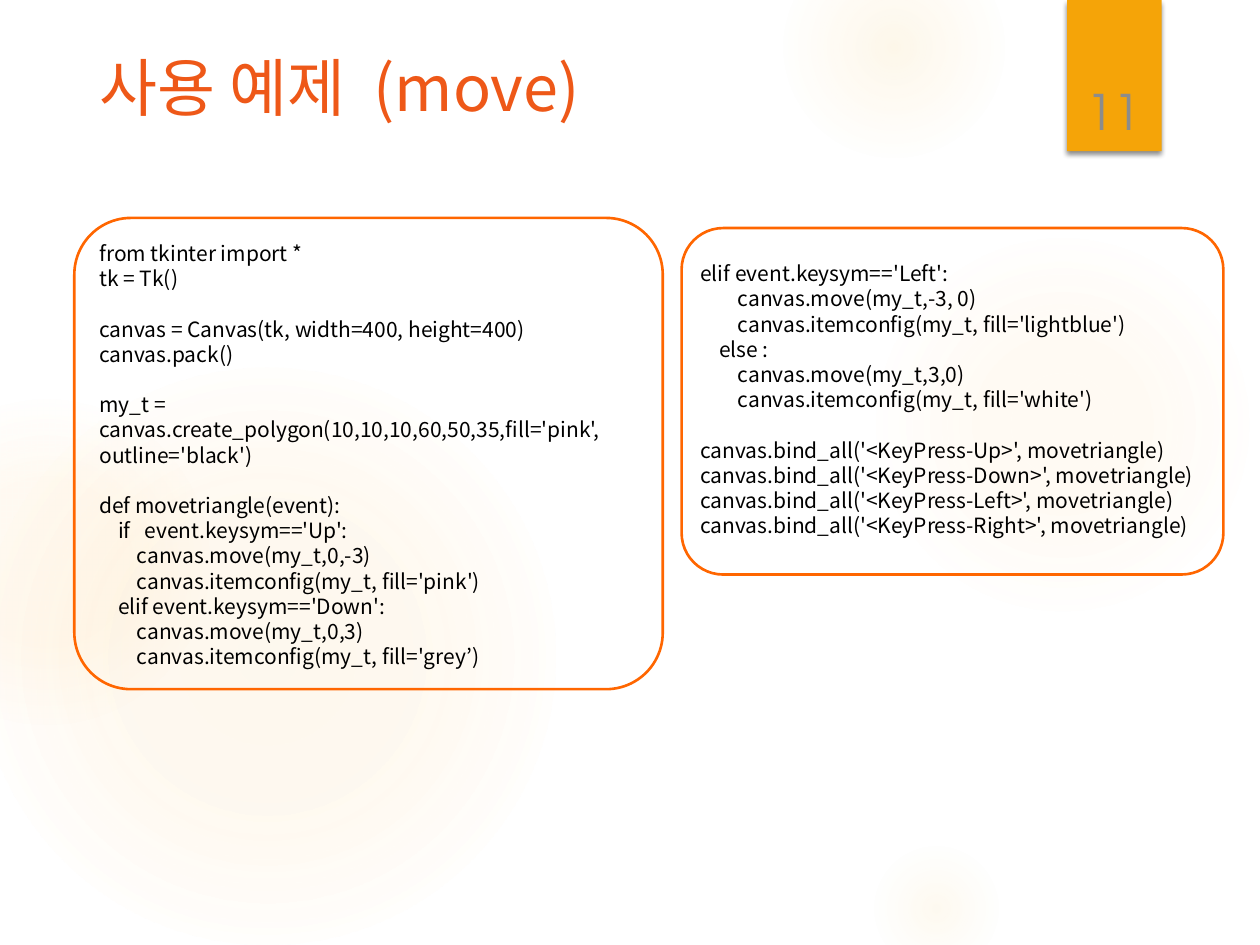
"""Build the tkinter move example slide with two framed code listings."""
from dataclasses import dataclass

from lxml import etree
from pptx import Presentation
from pptx.dml.color import RGBColor
from pptx.enum.shapes import MSO_SHAPE
from pptx.enum.text import MSO_ANCHOR, PP_ALIGN
from pptx.oxml import parse_xml
from pptx.oxml.ns import nsdecls, qn
from pptx.util import Inches, Pt

OVAL = MSO_SHAPE.OVAL
RECTANGLE = MSO_SHAPE.RECTANGLE
ROUNDED = MSO_SHAPE.ROUNDED_RECTANGLE
TOP = MSO_ANCHOR.TOP
BOTTOM = MSO_ANCHOR.BOTTOM
CENTER = PP_ALIGN.CENTER

BLACK = RGBColor(0x00, 0x00, 0x00)
GLOW_COLOR = RGBColor(0xFA, 0xC9, 0x6A)
TAB_COLOR = RGBColor(0xF5, 0xA4, 0x08)
TITLE_COLOR = RGBColor(0xEE, 0x58, 0x18)
FRAME_COLOR = RGBColor(0xFF, 0x66, 0x00)
NUMBER_COLOR = RGBColor(0x8C, 0x8C, 0x8C)
KOREAN_FONT = "Noto Sans CJK KR"
NUMBER_FONT = "TeX Gyre Adventor"


@dataclass(frozen=True)
class Box:
    left: float
    top: float
    width: float
    height: float

    def lengths(self):
        return [Inches(v) for v in (self.left, self.top, self.width, self.height)]


@dataclass(frozen=True)
class Glow:
    left: float
    top: float
    diameter: float
    stops: tuple


@dataclass(frozen=True)
class TextStyle:
    size: float
    font: str
    color: RGBColor


@dataclass(frozen=True)
class Listing:
    text_box: Box
    frame: Box
    code: str


GLOWS = (
    Glow(6.89, 1.83, 3.08, ((0, 7), (36, 6), (69, 0))),
    Glow(6.22, -0.5, 1.75, ((0, 14), (36, 7), (73, 0))),
    Glow(6.89, 6.67, 1.08, ((0, 10), (31, 5), (66, 0))),
    Glow(-0.17, 2.92, 4.58, ((0, 11), (36, 10), (75, 0))),
    Glow(-0.92, 3.17, 2.58, ((0, 8), (36, 8), (72, 0))),
)
TITLE_STYLE = TextStyle(36, KOREAN_FONT, TITLE_COLOR)
CODE_STYLE = TextStyle(12, KOREAN_FONT, BLACK)
NUMBER_STYLE = TextStyle(28, NUMBER_FONT, NUMBER_COLOR)

LISTINGS = (
    Listing(Box(0.69, 1.86, 4.62, 3.94), Box(0.59, 1.73, 4.67, 3.74), """\
from tkinter import *
tk = Tk()

canvas = Canvas(tk, width=400, height=400)
canvas.pack()

my_t = canvas.create_polygon(10,10,10,60,50,35,fill='pink', outline='black')

def movetriangle(event):
    if   event.keysym=='Up':
        canvas.move(my_t,0,-3)
        canvas.itemconfig(my_t, fill='pink')
    elif event.keysym=='Down':
        canvas.move(my_t,0,3)
        canvas.itemconfig(my_t, fill='grey’)"""),
    Listing(Box(5.46, 2.02, 4.62, 2.32), Box(5.41, 1.81, 4.3, 2.75), """\
elif event.keysym=='Left':
        canvas.move(my_t,-3, 0)
        canvas.itemconfig(my_t, fill='lightblue')
    else :
        canvas.move(my_t,3,0)
        canvas.itemconfig(my_t, fill='white')

canvas.bind_all('<KeyPress-Up>', movetriangle)
canvas.bind_all('<KeyPress-Down>', movetriangle)
canvas.bind_all('<KeyPress-Left>', movetriangle)
canvas.bind_all('<KeyPress-Right>', movetriangle)"""),
)


def add_plain_shape(slide, kind, box: Box):
    shape = slide.shapes.add_shape(kind, *box.lengths())
    shape.shadow.inherit = False
    shape.line.fill.background()
    return shape


def add_glow(slide, glow: Glow) -> None:
    box = Box(glow.left, glow.top, glow.diameter, glow.diameter)
    shape = add_plain_shape(slide, OVAL, box)
    stops = "".join(
        f'<a:gs pos="{position * 1000}"><a:srgbClr val="{GLOW_COLOR}">'
        f'<a:alpha val="{opacity * 1000}"/></a:srgbClr></a:gs>'
        for position, opacity in glow.stops
    )
    gradient = parse_xml(
        f'<a:gradFill {nsdecls("a")} rotWithShape="1"><a:gsLst>{stops}</a:gsLst>'
        '<a:path path="circle"><a:fillToRect l="50000" t="50000" r="50000" '
        'b="50000"/></a:path></a:gradFill>'
    )
    shape._element.spPr.find(qn("a:prstGeom")).addnext(gradient)


def add_number_tab(slide) -> None:
    shape = add_plain_shape(slide, RECTANGLE, Box(8.47, 0, 0.75, 1.2))
    shape.fill.solid()
    shape.fill.fore_color.rgb = TAB_COLOR
    effects = shape._element.spPr.find(qn("a:effectLst"))
    effects.append(parse_xml(
        f'<a:outerShdw {nsdecls("a")} blurRad="{Pt(3)}" dist="{Pt(2)}" '
        f'dir="5400000" rotWithShape="0"><a:srgbClr val="{BLACK}">'
        '<a:alpha val="45000"/></a:srgbClr></a:outerShdw>'
    ))


def add_frame(slide, box: Box) -> None:
    shape = add_plain_shape(slide, ROUNDED, box)
    shape.adjustments[0] = 0.12
    shape.fill.background()
    shape.line.color.rgb = FRAME_COLOR
    shape.line.width = Pt(1.5)


def add_run(paragraph, text: str, style: TextStyle):
    run = paragraph.add_run()
    run.text = text
    run.font.size = Pt(style.size)
    run.font.name = style.font
    run.font.color.rgb = style.color
    properties = run.font._element
    east_asian = etree.Element(qn("a:ea"), typeface=style.font)
    properties.find(qn("a:latin")).addnext(east_asian)
    return run


def add_text_frame(slide, box: Box, anchor=TOP):
    frame = slide.shapes.add_textbox(*box.lengths()).text_frame
    frame.word_wrap = True
    frame.vertical_anchor = anchor
    return frame


def add_title(slide) -> None:
    paragraph = add_text_frame(slide, Box(0.69, 0.4, 8.62, 1.22)).paragraphs[0]
    paragraph.line_spacing = 0.9
    add_run(paragraph, "사용 예제", TITLE_STYLE)
    gap = add_run(paragraph, " ", TITLE_STYLE)
    gap.font._element.set("spc", "800")
    add_run(paragraph, "(move)", TITLE_STYLE)


def add_listing(slide, listing: Listing) -> None:
    frame = add_text_frame(slide, listing.text_box)
    for index, line in enumerate(listing.code.splitlines()):
        paragraph = frame.add_paragraph() if index else frame.paragraphs[0]
        paragraph.line_spacing = Pt(14.4)
        paragraph.font.size = Pt(CODE_STYLE.size)
        if line:
            add_run(paragraph, line, CODE_STYLE)
    add_frame(slide, listing.frame)


def main() -> None:
    presentation = Presentation()
    presentation.slide_width = Inches(10)
    presentation.slide_height = Inches(7.5)
    slide = presentation.slides.add_slide(presentation.slide_layouts[6])
    for glow in GLOWS:
        add_glow(slide, glow)
    add_number_tab(slide)
    add_title(slide)
    for listing in LISTINGS:
        add_listing(slide, listing)
    number = add_text_frame(slide, Box(8.49, 0.32, 0.69, 0.84), BOTTOM).paragraphs[0]
    number.alignment = CENTER
    add_run(number, "11", NUMBER_STYLE)
    presentation.save("out.pptx")


if __name__ == "__main__":
    main()
